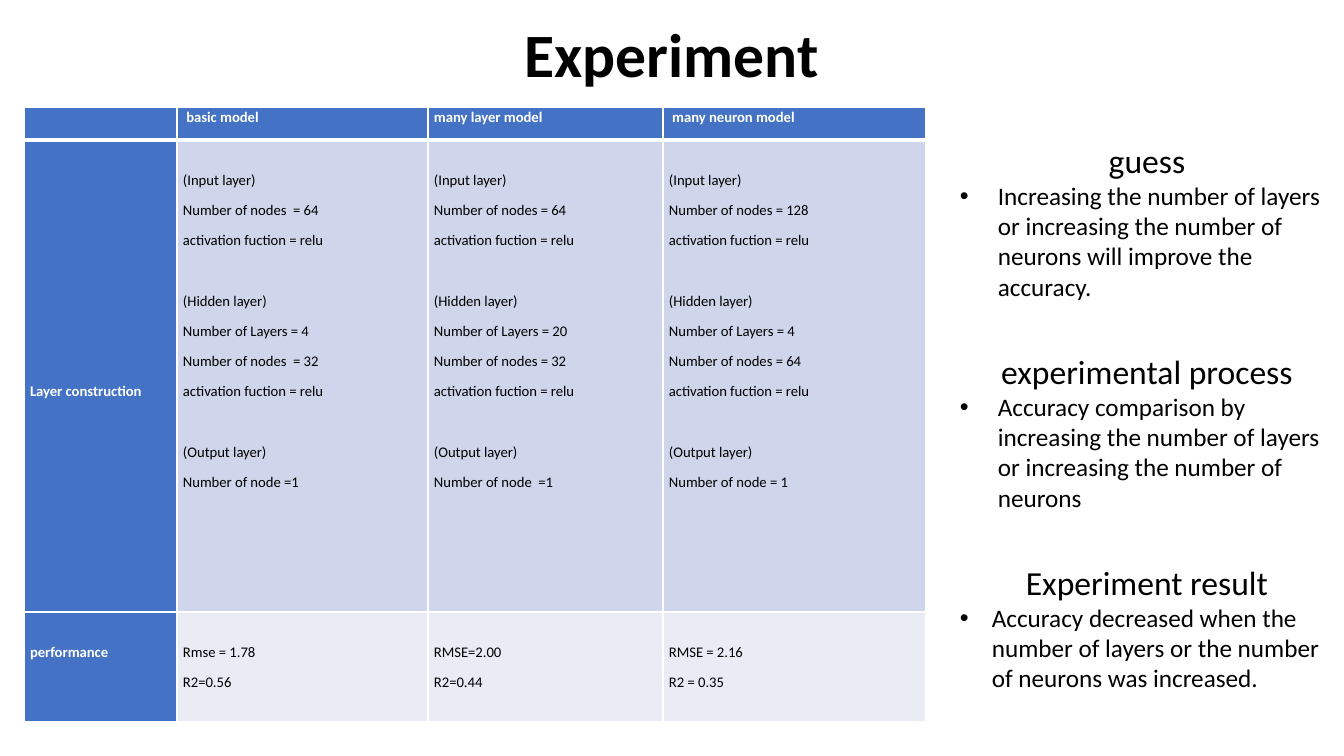
from lxml.etree import SubElement
from pptx import Presentation
from pptx.dml.color import RGBColor
from pptx.enum.text import MSO_AUTO_SIZE as AutoSize, PP_ALIGN as Align
from pptx.oxml import parse_xml
from pptx.oxml.ns import nsdecls, qn
from pptx.util import Emu, Pt

COLORS = {"text": "000000", "white": "FFFFFF", "head": "4472C4",
          "band": "CFD5EA", "pale": "E9EBF5"}
FONT = "Calibri"
LINE_PX = 30
LINE_PT = 21.6


def px(n):
    return Emu(round(n * 914400 / 100.8))


def rgb(name):
    return RGBColor.from_string(COLORS[name])


class Deck:
    """Holds the style and the current slide, and adds elements to it."""

    def __init__(self, width, height):
        self.prs = Presentation()
        self.prs.slide_width, self.prs.slide_height = px(width), px(height)
        self.s = self.prs.slides.add_slide(self.prs.slide_layouts[6])

    def run(self, p, text, size, color="text", bold=False):
        r = p.add_run()
        r.text = text
        f = r.font
        f.name, f.size, f.bold = FONT, Pt(size), bold
        f.color.rgb = rgb(color)

    def box(self, x, y, w, h):
        sp = self.s.shapes.add_textbox(px(x), px(y), px(w), px(h))
        tf = sp.text_frame
        tf.word_wrap = True
        tf.auto_size = AutoSize.SHAPE_TO_FIT_TEXT
        return tf

    def title(self, x, y, w, h, text):
        p = self.box(x, y, w, h).paragraphs[0]
        p.alignment = Align.CENTER
        self.run(p, text, 44, bold=True)

    def note(self, x, y, w, h, heading, body, indent):
        tf = self.box(x, y, w, h)
        p = tf.paragraphs[0]
        p.alignment = Align.CENTER
        self.run(p, heading, 24)
        p = tf.add_paragraph()
        self.run(p, body, 18)
        pPr = p._p.get_or_add_pPr()
        pPr.set("marL", str(px(indent)))
        pPr.set("indent", str(-px(indent)))
        SubElement(pPr, qn("a:buFont"), typeface="Arial")
        SubElement(pPr, qn("a:buChar"), char="•")

    def cell(self, c, groups, fill, color, bold, top, edges):
        c.fill.solid()
        c.fill.fore_color.rgb = rgb(fill)
        c.margin_left = c.margin_right = px(6)
        c.margin_top, c.margin_bottom = px(top), 0
        tf = c.text_frame
        p = None
        for g, lines in enumerate(groups):
            for i, line in enumerate(lines):
                p = tf.add_paragraph() if p is not None else tf.paragraphs[0]
                p.line_spacing, p.space_after = 1.07, Pt(8)
                if g and i == 0:
                    p.space_before = Pt(LINE_PT)
                self.run(p, line, 10.5, color, bold)
        tcPr = c._tc.get_or_add_tcPr()
        for i, (side, width) in enumerate(edges.items()):
            tcPr.insert(i, parse_xml(
                f'<a:ln{side} {nsdecls("a")} w="{Pt(width)}"><a:solidFill>'
                f'<a:srgbClr val="{COLORS["white"]}"/></a:solidFill></a:ln{side}>'))

    def table(self, x, y, widths, heights, rows, tops):
        tbl = self.s.shapes.add_table(len(heights), len(widths), px(x), px(y),
                                      px(sum(widths)), px(sum(heights))).table
        for col, w in zip(tbl.columns, widths):
            col.width = px(w)
        for row, h in zip(tbl.rows, heights):
            row.height = px(h)
        fills = ["head", "band", "pale"]
        for i, row in enumerate(rows):
            edges = {"L": 1, "R": 1, "T": 3 if i == 1 else 1, "B": 3 if i == 0 else 1}
            for j, groups in enumerate(row):
                head = i == 0 or j == 0
                self.cell(tbl.cell(i, j), groups, "head" if head else fills[i],
                          "white" if head else "text", head, tops[i][j > 0], edges)


def layers(input_nodes, hidden_layers, hidden_nodes, output_node):
    relu = "activation fuction = relu"
    return [["(Input layer)", f"Number of nodes{input_nodes}", relu],
            ["(Hidden layer)", f"Number of Layers = {hidden_layers}",
             f"Number of nodes{hidden_nodes}", relu],
            ["(Output layer)", f"Number of node{output_node}"]]


def main():
    deck = Deck(1344, 756)
    rows = [
        [[], [[" basic model"]], [["many layer model"]], [[" many neuron model"]]],
        [[["Layer construction"]],
         layers("  = 64", 4, "  = 32", " =1"),
         layers(" = 64", 20, " = 32", "  =1"),
         layers(" = 128", 4, " = 64", " = 1")],
        [[["performance"]], [["Rmse = 1.78", "R2=0.56"]],
         [["RMSE=2.00", "R2=0.44"]], [["RMSE = 2.16", "R2 = 0.35"]]],
    ]
    tops = [(0, 0), (8 * LINE_PX + 1, LINE_PX), (LINE_PX, LINE_PX)]
    deck.table(24, 107, [153, 251, 235, 263], [33, 472, 110], rows, tops)

    notes = [
        ("guess", "Increasing the number of layers or increasing the number of "
         "neurons will improve the accuracy.", 173, 38),
        ("experimental process", "Accuracy comparison by increasing the number of "
         "layers or increasing the number of neurons", 173, 38),
        ("Experiment result", "Accuracy decreased when the number of layers or the "
         "number of neurons was increased.", 142, 32),
    ]
    for i, (heading, body, height, indent) in enumerate(notes):
        deck.note(950, 135 + 211 * i, 394, height, heading, body, indent)
    deck.title(497, 11, 350, 85, "Experiment")
    deck.prs.save("out.pptx")


if __name__ == "__main__":
    main()
